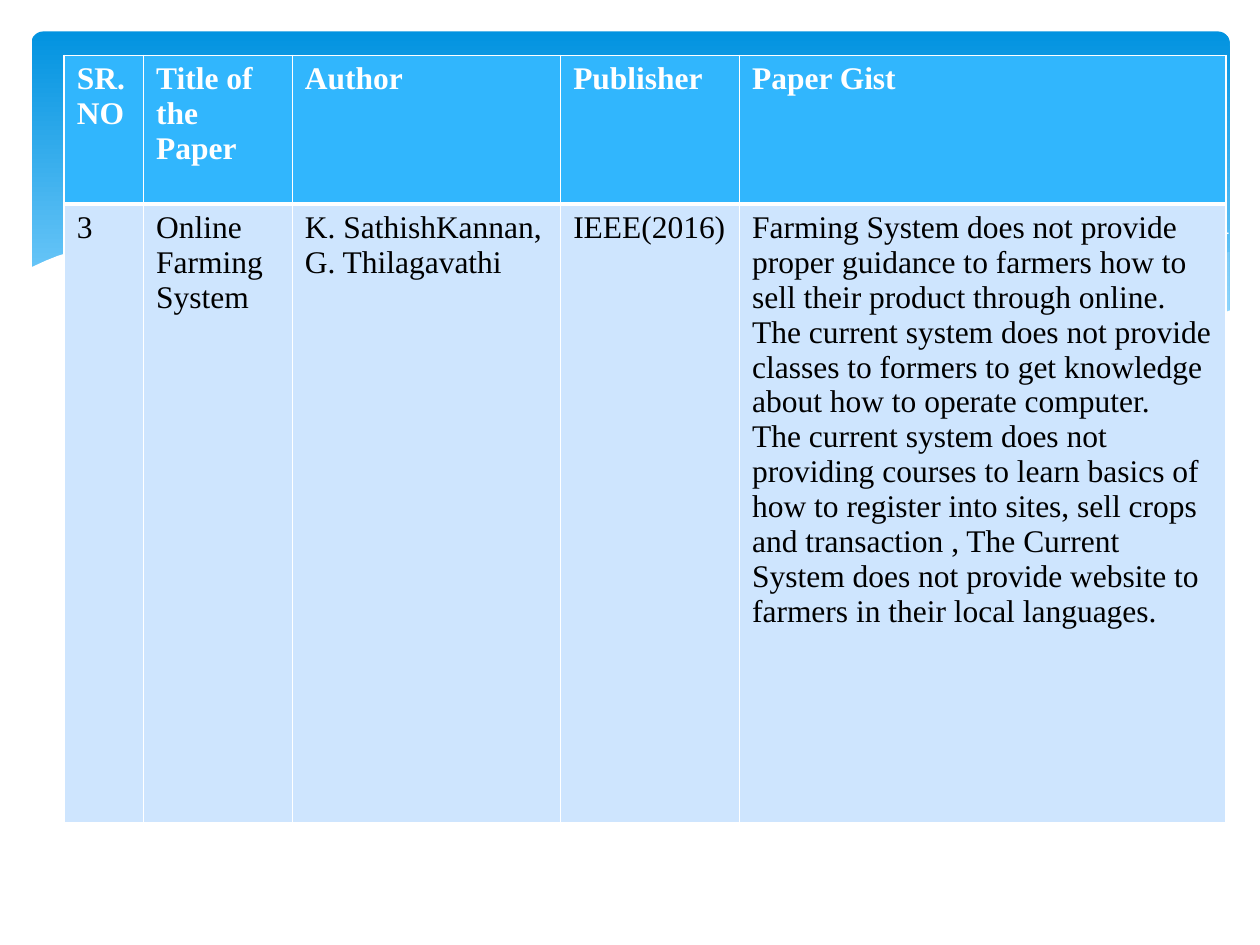
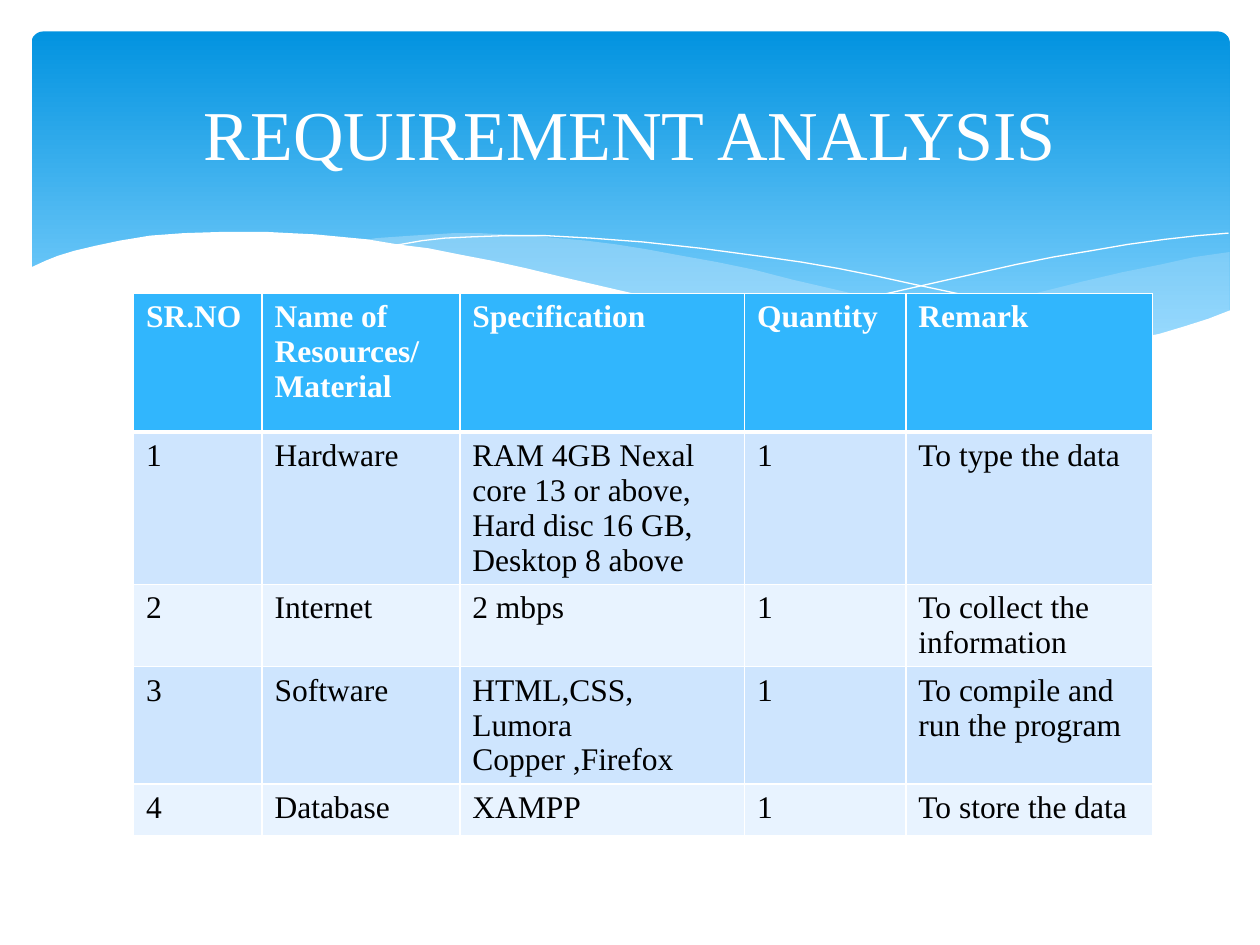
import pptx
import pptx.dml.color
import pptx.enum.shapes
import pptx.enum.text
import pptx.oxml
import pptx.oxml.ns
import pptx.util

COLUMNS, ROWS = 10, 7.5
TITLE_ONLY, BLANK = 5, 6
FONT = "Times New Roman"
COLORS = {
    "band top": "0293E0",
    "band bottom": "83D3FE",
    "wave": "C6E7FC",
    "white": "FFFFFF",
    "black": "000000",
    "header": "31B6FD",
    "odd row": "CEE5FE",
    "even row": "E8F3FF",
}

RIGHT_WAVE = [
    (9.76, 2), (9.48, 2.04), (9.21, 2.1), (8.91, 2.16), (8.61, 2.23), (8.05, 2.37),
    (7.53, 2.48), (7.06, 2.57), (6.61, 2.65), (6.91, 2.69), (7.19, 2.72), (7.45, 2.75),
    (7.69, 2.77), (8.03, 2.78), (8.35, 2.77), (8.63, 2.75), (8.89, 2.72), (9.13, 2.67),
    (9.35, 2.62), (9.49, 2.57), (9.63, 2.52), (9.76, 2.47),
]
MIDDLE_WAVE = [
    (8.93, 2.73), (8.66, 2.69), (8.37, 2.65), (8.07, 2.6), (7.75, 2.54), (7.41, 2.47),
    (7.06, 2.4), (6.68, 2.31), (6.29, 2.22), (5.98, 2.14), (5.69, 2.08), (5.41, 2.03),
    (5.14, 1.98), (4.89, 1.94), (4.65, 1.91), (4.42, 1.89), (4.2, 1.87), (3.99, 1.86),
    (3.8, 1.85), (3.61, 1.85), (3.28, 1.87), (2.99, 1.89), (2.86, 1.91), (3.23, 1.96),
    (3.62, 2.03), (4.04, 2.11), (4.49, 2.22), (4.91, 2.32), (5.3, 2.4), (5.66, 2.48),
    (6.01, 2.55), (6.34, 2.61), (6.65, 2.66), (6.95, 2.7), (7.22, 2.74), (7.48, 2.76),
    (7.73, 2.77), (7.96, 2.78), (8.28, 2.78), (8.57, 2.77), (8.76, 2.75),
]
FALLING_LINE = [
    (3.09, 1.95), (3.18, 1.94), (3.35, 1.91), (3.53, 1.89), (3.74, 1.88), (4.01, 1.87),
    (4.33, 1.87), (4.69, 1.89), (5.1, 1.92), (5.56, 1.97), (6.08, 2.04), (6.36, 2.08),
    (6.65, 2.13), (6.95, 2.19), (7.27, 2.26), (7.6, 2.33), (7.95, 2.41), (8.31, 2.51),
    (8.69, 2.61), (9.07, 2.72),
]
RISING_LINE = [
    (6.13, 2.57), (6.53, 2.46), (6.95, 2.35), (7.48, 2.23), (8.06, 2.1), (8.36, 2.04),
    (8.66, 1.99), (8.95, 1.94), (9.24, 1.9), (9.51, 1.87), (9.75, 1.85),
]
WHITE_WAVE = [
    (9.77, 2.46), (9.59, 2.53), (9.4, 2.59), (9.2, 2.65), (8.99, 2.69), (8.75, 2.73),
    (8.5, 2.75), (8.23, 2.77), (7.93, 2.76), (7.61, 2.75), (7.26, 2.72), (6.88, 2.68),
    (6.48, 2.62), (6.03, 2.54), (5.55, 2.45), (5.03, 2.33), (4.47, 2.2), (4.18, 2.13),
    (3.91, 2.07), (3.65, 2.02), (3.4, 1.97), (3.16, 1.94), (2.92, 1.9), (2.71, 1.88),
    (2.5, 1.86), (2.3, 1.85), (2.11, 1.84), (1.77, 1.84), (1.46, 1.85), (1.19, 1.87),
    (0.95, 1.91), (0.76, 1.95), (0.59, 1.99), (0.46, 2.03), (0.36, 2.07), (0.23, 2.13),
    (0.23, 3.29), (9.77, 3.29),
]

PAPERS = [
    ["SR.NO", "Title of the Paper", "Author", "Publisher", "Paper Gist"],
    [
        "3",
        "Online Farming\nSystem",
        "K. SathishKannan,\nG. Thilagavathi",
        "IEEE(2016)",
        "Farming System does not provide proper guidance to farmers how to sell their "
        "product through online. The current system does not provide classes to formers "
        "to get knowledge about how to operate computer.\n"
        "The current system does not providing courses to learn basics of how to register "
        "into sites, sell crops and transaction , The Current System does not provide "
        "website to farmers in their local languages.",
    ],
]
REQUIREMENTS = [
    ["SR.NO", "Name of Resources/\nMaterial", "Specification", "Quantity", "Remark"],
    ["1", "Hardware", "RAM 4GB Nexal core 13 or above, Hard disc 16 GB, Desktop 8 above",
     "1", "To type the data"],
    ["2", "Internet", "2 mbps", "1", "To collect the information"],
    ["3", "Software", "HTML,CSS, Lumora Copper ,Firefox", "1",
     "To compile and run the program"],
    ["4", "Database", "XAMPP", "1", "To store the data"],
]


def rgb(name):
    return pptx.dml.color.RGBColor.from_string(COLORS[name])


class Deck:
    """Holds the presentation, its style and the slide being drawn; lengths are grid cells."""

    def __init__(self):
        self.presentation = pptx.Presentation()
        self.presentation.slide_width = pptx.util.Inches(10)
        self.presentation.slide_height = pptx.util.Inches(7.5)
        self.column = self.presentation.slide_width / COLUMNS
        self.row = self.presentation.slide_height / ROWS
        self.slide = None

    def across(self, columns):
        return round(columns * self.column)

    def down(self, rows):
        return round(rows * self.row)

    def box(self, left, top, width, height):
        return self.across(left), self.down(top), self.across(width), self.down(height)

    def add_slide(self, layout):
        self.slide = self.presentation.slides.add_slide(
            self.presentation.slide_layouts[layout])
        self.add_band()

    def add_band(self):
        band = self.slide.shapes.add_shape(
            pptx.enum.shapes.MSO_SHAPE.ROUNDED_RECTANGLE, *self.box(0.25, 0.25, 9.51, 2.7))
        band.adjustments[0] = 0.034
        band.shadow.inherit = False
        band.line.fill.background()
        band.fill.gradient()
        band.fill.gradient_angle = 270
        stops = zip(band.fill.gradient_stops, ("band top", "band bottom"), (0, 0.9))
        for stop, color, position in stops:
            stop.color.rgb = rgb(color)
            stop.position = position
        self.add_wave(RIGHT_WAVE, "wave", 29)
        self.add_wave(MIDDLE_WAVE, "wave", 40)
        self.add_curve(FALLING_LINE)
        self.add_curve(RISING_LINE)
        self.add_wave(WHITE_WAVE, "white")

    def add_outline(self, points, close):
        start, *rest = [(self.across(x), self.down(y)) for x, y in points]
        builder = self.slide.shapes.build_freeform(*start)
        builder.add_line_segments(rest, close=close)
        shape = builder.convert_to_shape()
        shape.shadow.inherit = False
        return shape

    def add_wave(self, points, color, opacity=100):
        wave = self.add_outline(points, close=True)
        wave.line.fill.background()
        wave.fill.solid()
        wave.fill.fore_color.rgb = rgb(color)
        if opacity < 100:
            solid = wave.element.spPr.find(pptx.oxml.ns.qn("a:solidFill"))
            solid[0].append(pptx.oxml.parse_xml(
                f'<a:alpha {pptx.oxml.ns.nsdecls("a")} val="{opacity * 1000}"/>'))

    def add_curve(self, points):
        curve = self.add_outline(points, close=False)
        curve.fill.background()
        curve.line.color.rgb = rgb("white")
        curve.line.width = 0

    def set_title(self, text):
        title = self.slide.shapes.title
        title.left, title.top, title.width, title.height = self.box(0.5, 0.37, 9, 1.37)
        # The placeholder comes first in the slide, so bring it in front of the band.
        title.element.getparent().append(title.element)
        title.text_frame.text = text
        title.text_frame.vertical_anchor = pptx.enum.text.MSO_ANCHOR.MIDDLE
        paragraph = title.text_frame.paragraphs[0]
        paragraph.alignment = pptx.enum.text.PP_ALIGN.CENTER
        self.set_font(paragraph, 40, "white")

    def set_font(self, paragraph, size, color, bold=False):
        font = paragraph.font
        font.name, font.size, font.bold = FONT, pptx.util.Pt(size), bold
        font.color.rgb = rgb(color)

    def add_table(self, left, top, widths, heights, content):
        table = self.slide.shapes.add_table(
            len(heights), len(widths),
            *self.box(left, top, sum(widths), sum(heights))).table
        for column, width in zip(table.columns, widths):
            column.width = self.across(width)
        for row, height in zip(table.rows, heights):
            row.height = self.down(height)
        for row_index, texts in enumerate(content):
            for column_index, text in enumerate(texts):
                self.format_cell(table.cell(row_index, column_index), text, row_index)

    def format_cell(self, cell, text, row_index):
        is_header = row_index == 0
        fill = "header" if is_header else "odd row" if row_index % 2 else "even row"
        self.add_borders(cell, top=3 if row_index == 1 else 1, bottom=3 if is_header else 1)
        cell.fill.solid()
        cell.fill.fore_color.rgb = rgb(fill)
        cell.text = text
        for paragraph in cell.text_frame.paragraphs:
            self.set_font(paragraph, 18, "white" if is_header else "black", is_header)

    def add_borders(self, cell, top, bottom):
        properties = cell._tc.get_or_add_tcPr()
        for side, points in (("L", 1), ("R", 1), ("T", top), ("B", bottom)):
            properties.append(pptx.oxml.parse_xml(
                f'<a:ln{side} {pptx.oxml.ns.nsdecls("a")} w="{pptx.util.Pt(points)}">'
                f'<a:solidFill><a:srgbClr val="{COLORS["white"]}"/></a:solidFill>'
                f'</a:ln{side}>'))


def main():
    deck = Deck()
    deck.add_slide(BLANK)
    deck.add_table(0.51, 0.44, [0.63, 1.18, 2.13, 1.42, 3.86], [1.18, 4.91], PAPERS)

    deck.add_slide(TITLE_ONLY)
    deck.add_table(1.06, 2.33, [1.02, 1.57, 2.26, 1.28, 1.96], [1.1] + [0.41] * 4,
                   REQUIREMENTS)
    deck.set_title("REQUIREMENT ANALYSIS")
    deck.presentation.save("out.pptx")


if __name__ == "__main__":
    main()
